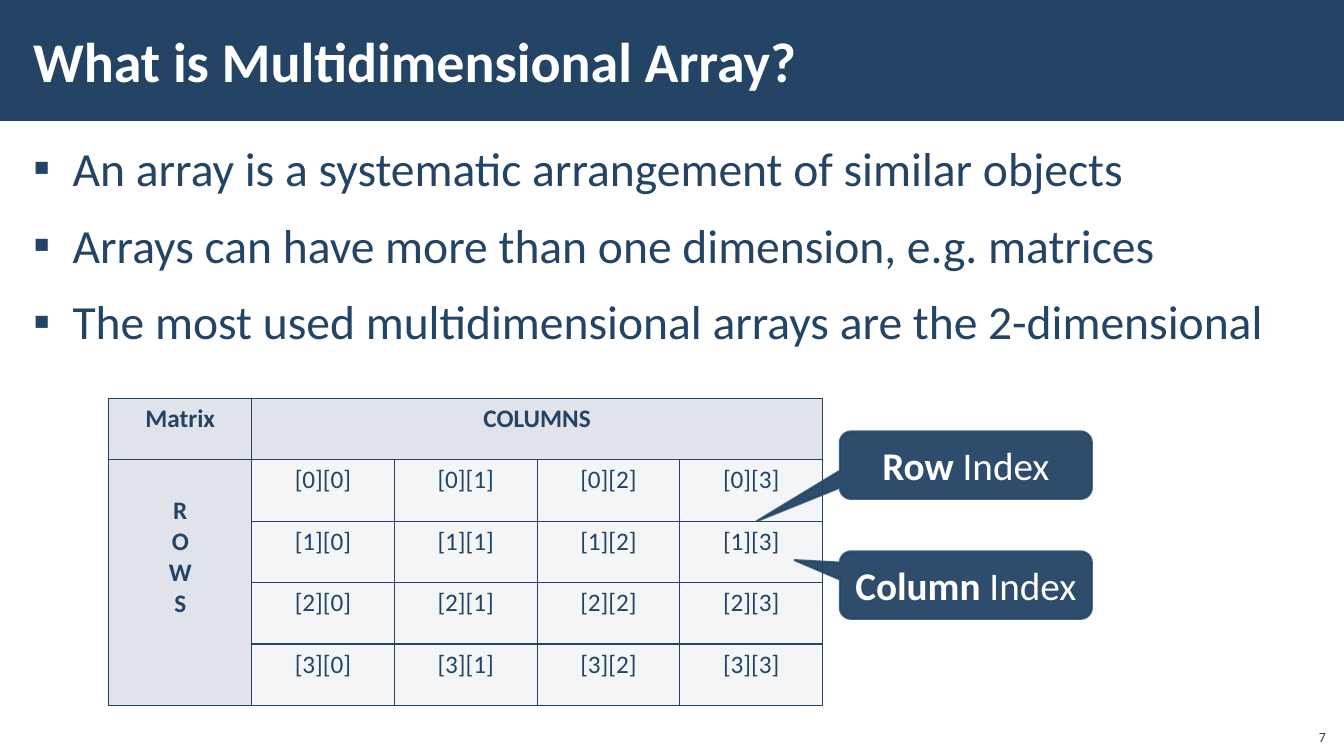
from lxml.etree import SubElement as Sub
from pptx import Presentation
from pptx.dml.color import RGBColor as Rgb
from pptx.enum.shapes import MSO_SHAPE as Shape
from pptx.enum.text import MSO_ANCHOR as Anchor, PP_ALIGN as Align
from pptx.oxml.ns import qn
from pptx.util import Inches, Pt

HUES = {"navy": "234465", "white": "FFFFFF", "head": "E0E3E9", "cell": "F4F5F7"}
FONT = "Calibri"
COUNT = 4


def paint(fill, hue, alpha=None):
    fill.solid()
    fill.fore_color.rgb = Rgb.from_string(HUES[hue])
    if alpha:
        tone = fill._xPr.find(qn("a:solidFill"))[0]
        Sub(tone, qn("a:alpha"), val=str(alpha * 1000))


def write(frame, lines, size=18, hue="navy", bold=False, lead="",
          align=Align.LEFT, anchor=Anchor.TOP, bullet="", gap=0, pitch=None):
    frame.word_wrap = True
    frame.vertical_anchor = anchor
    for i, line in enumerate(lines):
        para = frame.add_paragraph() if i else frame.paragraphs[0]
        para.alignment = align
        para.space_before = para.space_after = Pt(gap)
        if pitch:
            para.line_spacing = pitch
        if bullet:
            props = para._p.get_or_add_pPr()
            dent = Inches(0.39)
            props.set("marL", str(dent))
            props.set("indent", str(-dent))
            Sub(props, qn("a:buFont"), typeface=FONT)
            Sub(props, qn("a:buChar"), char=bullet)
        for text, heavy in ((lead, True), (line, bold)):
            if text:
                run = para.add_run()
                run.text = text
                font = run.font
                font.name, font.size, font.bold = FONT, Pt(size), heavy
                font.color.rgb = Rgb.from_string(HUES[hue])


def add_text(slide, box, lines, pad=(0.12, 0.04), **style):
    frame = slide.shapes.add_textbox(*map(Inches, box)).text_frame
    frame.margin_left = frame.margin_right = Inches(pad[0])
    frame.margin_top = frame.margin_bottom = Inches(pad[1])
    write(frame, lines, **style)


def add_band(slide, box):
    band = slide.shapes.add_shape(Shape.RECTANGLE, *map(Inches, box))
    band.shadow.inherit = False
    paint(band.fill, "navy")
    band.line.fill.background()


def add_call(slide, top, lead, tip):
    box = map(Inches, (8.33, top, 2.5, 0.67))
    call = slide.shapes.add_shape(Shape.ROUNDED_RECTANGULAR_CALLOUT, *box)
    call.shadow.inherit = False
    for i, value in enumerate((*tip, 0.167)):
        call.adjustments[i] = value
    paint(call.fill, "navy", 95)
    call.line.width = Pt(1.5)
    paint(call.line.fill, "navy", 80)
    frame = call.text_frame
    frame.margin_left = frame.margin_right = Inches(0.05)
    write(frame, ["Index"], size=28, hue="white", lead=lead,
          align=Align.CENTER, anchor=Anchor.MIDDLE)


def style_cell(cell, hue):
    props = cell._tc.get_or_add_tcPr()
    for side in ("lnL", "lnR", "lnT", "lnB"):
        edge = Sub(props, qn("a:" + side), w=str(Pt(1)))
        Sub(Sub(edge, qn("a:solidFill")), qn("a:srgbClr"), val=HUES["navy"])
    paint(cell.fill, hue)


def add_grid(slide):
    size = COUNT + 1
    box = map(Inches, (1.08, 3.95, 7.08, 3.05))
    grid = slide.shapes.add_table(size, size, *box).table
    for r in range(size):
        for c in range(size):
            cell = grid.cell(r, c)
            style_cell(cell, "cell" if r and c else "head")
            if r and c:
                write(cell.text_frame, [f"[{r - 1}][{c - 1}]"], align=Align.CENTER)
    grid.cell(0, 1).merge(grid.cell(0, COUNT))
    grid.cell(1, 0).merge(grid.cell(COUNT, 0))
    grid.cell(1, 0).margin_top = Inches(0.36)
    for spot, lines in (((0, 0), ["Matrix"]), ((0, 1), ["COLUMNS"]), ((1, 0), "ROWS")):
        write(grid.cell(*spot).text_frame, lines, bold=True, align=Align.CENTER)


def main():
    deck = Presentation()
    deck.slide_width, deck.slide_height = Inches(13.33), Inches(7.5)
    slide = deck.slides.add_slide(deck.slide_layouts[6])
    add_band(slide, (0, 0, 13.33, 1.2))
    add_text(slide, (0.21, 1.31, 12.92, 6.05), [
        "An array is a systematic arrangement of similar objects",
        "Arrays can have more than one dimension, e.g. matrices",
        "The most used multidimensional arrays are the 2-dimensional",
    ], size=34, bullet="▪", gap=6, pitch=1.05)
    add_text(slide, (0.21, 0.11, 10.63, 0.97), ["What is Multidimensional Array?"],
             size=40, hue="white", bold=True, anchor=Anchor.MIDDLE)
    add_grid(slide)
    add_call(slide, 4.28, "Row ", (-0.83, 0.83))
    add_call(slide, 5.47, "Column ", (-0.68, -0.37))
    add_text(slide, (12.85, 7.12, 0.4, 0.32), ["7"], pad=(0.1, 0.05),
             size=10, align=Align.RIGHT, anchor=Anchor.BOTTOM)
    deck.save("out.pptx")


if __name__ == "__main__":
    main()
